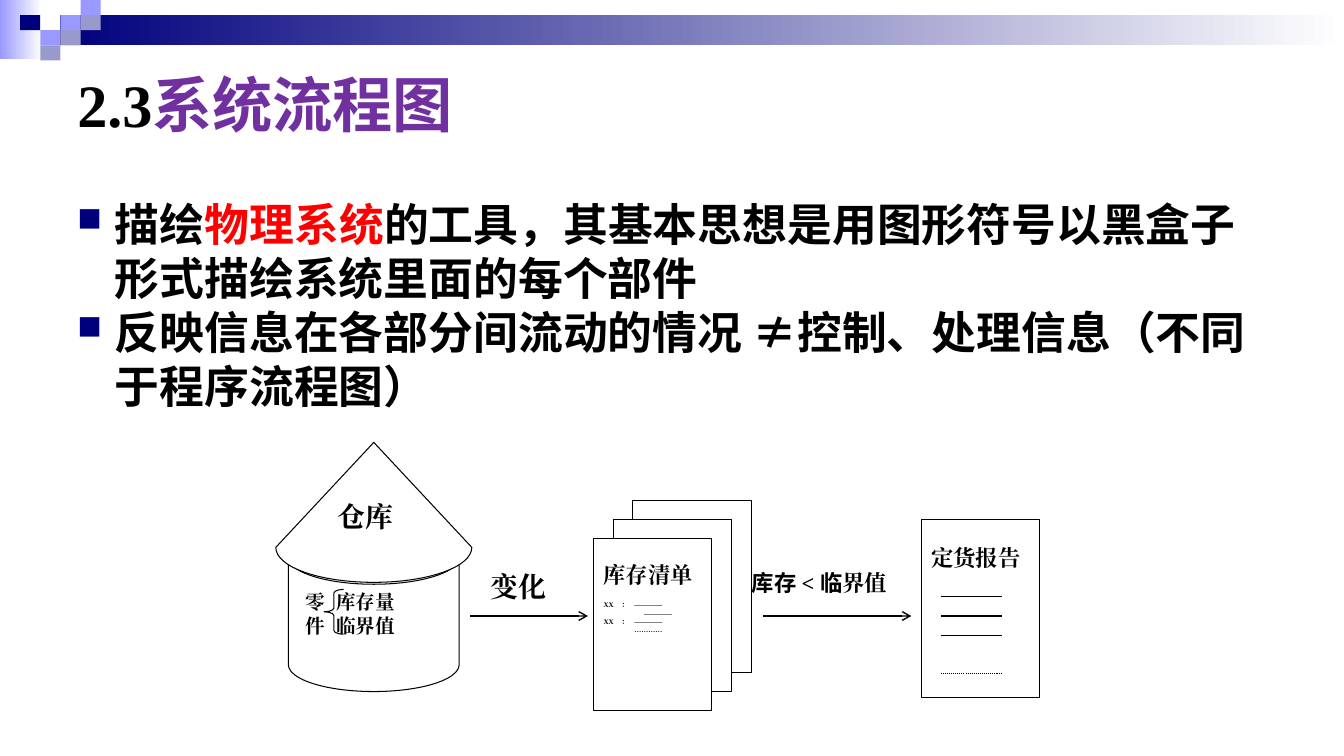
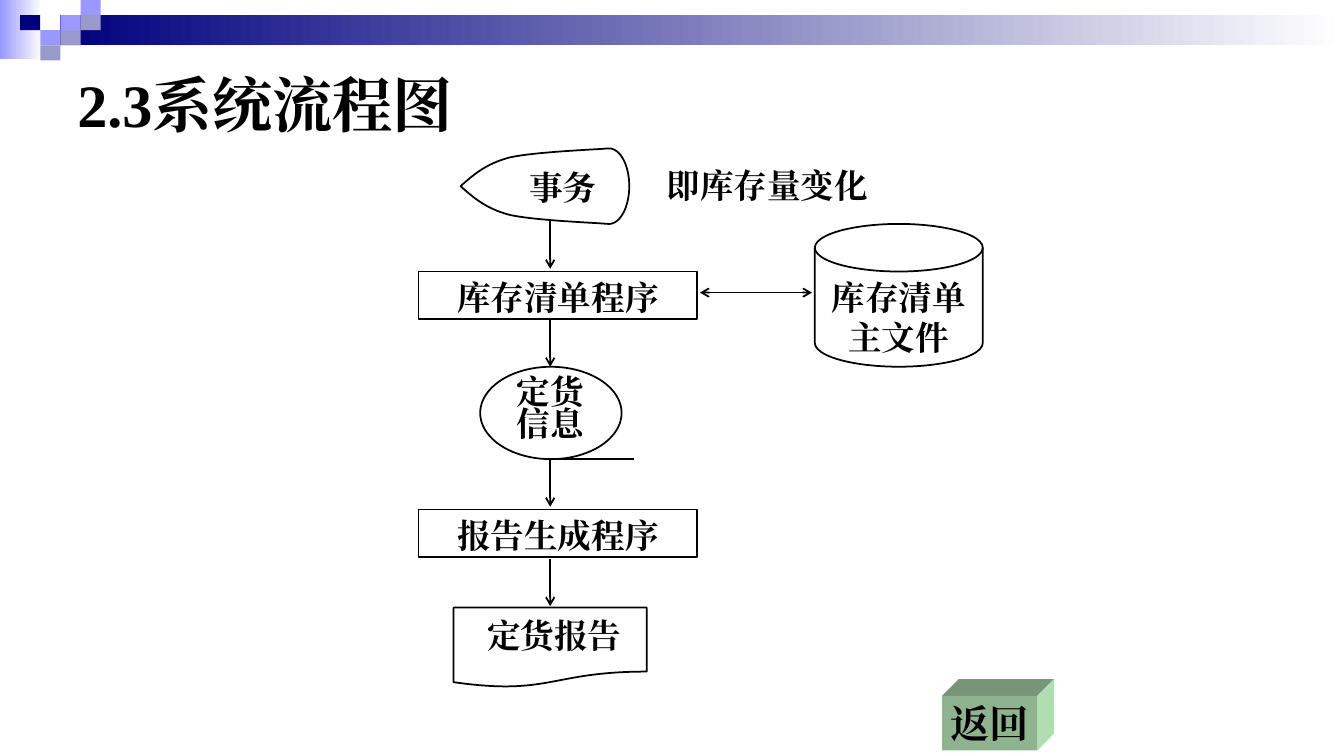
import dataclasses
import typing

import pptx
import pptx.dml.color
import pptx.enum.shapes
import pptx.enum.text
import pptx.oxml
import pptx.oxml.ns
import pptx.util
import lxml.etree

Pt = pptx.util.Pt
RGBColor = pptx.dml.color.RGBColor
SHAPE = pptx.enum.shapes.MSO_SHAPE
ALIGN = pptx.enum.text.PP_ALIGN
ANCHOR = pptx.enum.text.MSO_ANCHOR

BLACK = RGBColor(0x00, 0x00, 0x00)
WHITE = RGBColor(0xFF, 0xFF, 0xFF)
NAVY = RGBColor(0x00, 0x00, 0x7D)
PERIWINKLE = RGBColor(0x99, 0x99, 0xFF)
LAVENDER = RGBColor(0x99, 0x99, 0xCC)
PURPLE = RGBColor(0x70, 0x30, 0xA0)
RED = RGBColor(0xFF, 0x00, 0x00)
CUBE_FRONT = RGBColor(0x8F, 0xB2, 0x8F)
CUBE_TOP = RGBColor(0x78, 0x95, 0x78)
CUBE_SIDE = RGBColor(0xB0, 0xDE, 0xB0)

SERIF = "Times New Roman"
SANS = "Noto Sans CJK SC"
SANS_TITLE = "Noto Sans CJK JP"
SLIDE_SIZE = (960, 540)
TITLE_BOX = (48, 36, 864, 76)


def add_child(parent, tag, **attributes):
    child = lxml.etree.SubElement(parent, pptx.oxml.ns.qn(tag))
    for name, value in attributes.items():
        child.set(name, str(value))
    return child


def add_run(paragraph, text, size, font=SERIF, color=BLACK):
    run = paragraph.add_run()
    run.text = text
    run.font.size = Pt(size)
    run.font.bold = True
    run.font.color.rgb = color
    run.font.name = font
    add_child(run.font._element, "a:ea", typeface=font)


def write_lines(frame, lines, size, align=ALIGN.LEFT, spacing=None,
                inset=7.2, anchor=ANCHOR.TOP):
    frame.word_wrap = True
    frame.vertical_anchor = anchor
    frame.margin_left = frame.margin_right = Pt(inset)
    frame.margin_top = frame.margin_bottom = Pt(3.6)
    for index, line in enumerate(lines):
        paragraph = frame.paragraphs[0] if index == 0 else frame.add_paragraph()
        paragraph.alignment = align
        if spacing:
            paragraph.line_spacing = spacing
        for text, *style in [(line,)] if isinstance(line, str) else line:
            add_run(paragraph, text, size, *style)


def set_tabs(paragraph, positions):
    tabs = add_child(paragraph._p.get_or_add_pPr(), "a:tabLst")
    for position in positions:
        add_child(tabs, "a:tab", pos=Pt(position), algn="l")


def set_bullet(paragraph, indent):
    properties = paragraph._p.get_or_add_pPr()
    properties.set("marL", str(Pt(indent)))
    properties.set("indent", str(-Pt(indent)))
    add_child(add_child(properties, "a:buClr"), "a:srgbClr", val=NAVY)
    add_child(properties, "a:buSzPct", val=75000)
    add_child(properties, "a:buChar", char="■")


def curve(points, steps=16):
    result = [points[0]]
    for start in range(0, len(points) - 1, 3):
        a, b, c, d = points[start:start + 4]
        for step in range(1, steps + 1):
            t = step / steps
            weights = ((1 - t) ** 3, 3 * t * (1 - t) ** 2, 3 * t * t * (1 - t), t ** 3)
            result.append(tuple(sum(w * p[axis] for w, p in zip(weights, (a, b, c, d)))
                                for axis in (0, 1)))
    return result


def paint(shape, fill, line, width):
    shape.shadow.inherit = False
    if fill is None:
        shape.fill.background()
    else:
        shape.fill.solid()
        shape.fill.fore_color.rgb = fill
    if line is None:
        shape.line.fill.background()
    else:
        shape.line.color.rgb = line
        shape.line.width = Pt(width)
    return shape


@dataclasses.dataclass
class Region:
    slide: typing.Any
    left: float = 0
    top: float = 0
    width: float = 0.75

    def place(self, box):
        x, y, w, h = box
        return Pt(self.left + x), Pt(self.top + y), Pt(w), Pt(h)

    def shape(self, kind, box, fill=WHITE, line=BLACK):
        shape = self.slide.shapes.add_shape(kind, *self.place(box))
        return paint(shape, fill, line, self.width)

    def outline(self, points, fill=WHITE, line=BLACK):
        corners = [(Pt(self.left + x), Pt(self.top + y)) for x, y in points]
        builder = self.slide.shapes.build_freeform(*corners[0])
        builder.add_line_segments(corners[1:], close=True)
        return paint(builder.convert_to_shape(), fill, line, self.width)

    def text(self, box, lines, size, **style):
        frame = self.slide.shapes.add_textbox(*self.place(box)).text_frame
        write_lines(frame, lines, size, **style)
        return frame

    def line(self, start, end, ends=(), width=None, dash=None):
        connector = self.slide.shapes.add_connector(
            pptx.enum.shapes.MSO_CONNECTOR.STRAIGHT,
            Pt(self.left + start[0]), Pt(self.top + start[1]),
            Pt(self.left + end[0]), Pt(self.top + end[1]))
        connector.line.color.rgb = BLACK
        connector.line.width = Pt(width or self.width)
        if dash:
            connector.line.dash_style = dash
        for end_tag in ends:
            add_child(connector.line._get_or_add_ln(), end_tag, type="arrow")
        add_child(connector._element.spPr, "a:effectLst")


def decorate_layout(layout, slide):
    region = Region(slide)
    parts = []
    for box, color in (((0, 0, 30, 42), PERIWINKLE), ((43, 10.8, 917, 21.6), NAVY)):
        band = region.shape(SHAPE.RECTANGLE, box, line=None)
        band.fill.gradient()
        band.fill.gradient_angle = 0
        for stop, stop_color in zip(band.fill.gradient_stops, (color, WHITE)):
            stop.color.rgb = stop_color
        for stop, position in zip(band.fill.gradient_stops, (0, 1)):
            stop.position = position
        parts.append(band)
    side = 14.4
    for column, row, color in ((2, 1, PERIWINKLE), (3, 0, PERIWINKLE), (3, 1, LAVENDER),
                               (1, 2, PERIWINKLE), (0, 1, NAVY), (2, 2, LAVENDER),
                               (1, 3, LAVENDER)):
        box = (14 + column * side + 0.4, row * 10.8, side, 10.8)
        parts.append(region.shape(SHAPE.RECTANGLE, box, color, None))
    for part in parts:
        layout.shapes.element.append(part.element)


def add_title(slide, runs):
    title = slide.shapes.title
    title.left, title.top, title.width, title.height = map(Pt, TITLE_BOX)
    write_lines(title.text_frame, [runs], 43, anchor=ANCHOR.MIDDLE)


def add_points(slide, box):
    frame = Region(slide).text(box, [
        [("描绘", SANS), ("物理系统", SANS, RED),
         ("的工具，其基本思想是用图形符号以黑盒子形式描绘系统里面的每个部件", SANS)],
        [("反映信息在各部分间流动的情况 ≠控制、处理信息（不同于程序流程图）", SANS)],
    ], 32, spacing=Pt(38.6))
    for paragraph in frame.paragraphs:
        set_bullet(paragraph, 27)


def add_warehouse(slide, left, top):
    region = Region(slide, left, top)
    region.shape(SHAPE.FLOWCHART_MAGNETIC_DISK, (9, 63, 122, 115))
    eaves = curve([(140, 75), (140, 89), (109, 100), (70, 100),
                   (31, 100), (0, 89), (0, 75)])
    region.outline(eaves + [(70, 0)])
    region.text((37, 37, 65, 39), ["仓库"], 20)
    region.text((14, 102, 30, 50), ["零", "件"], 14)
    region.text((36, 102, 80, 50), ["库存量", "临界值"], 14)
    region.shape(SHAPE.LEFT_BRACE, (34.5, 105, 14, 32), None).adjustments[0] = 0.19


def add_stock_list(slide, left, top):
    region = Region(slide, left, top)
    for step in (2, 1, 0):
        region.shape(SHAPE.RECTANGLE, (step * 14, 27 - step * 13.5, 84.5, 123))
    region.text((0, 40, 84, 30), ["库存清单"], 16)
    entry = ("XX\t：\t————", (13, 22))
    rows = (entry, ("\t————", (29,)), entry, ("\t…………", (22,)))
    frame = region.text((0, 68, 84, 40), [text for text, _ in rows], 5)
    for paragraph, (_, tabs) in zip(frame.paragraphs, rows):
        set_tabs(paragraph, tabs)


def add_order_report(slide, left, top):
    region = Region(slide, left, top)
    region.shape(SHAPE.RECTANGLE, (0, 0, 84.5, 127))
    region.text((0, 14, 84, 41), ["定货报告"], 16)
    for y in (55, 69, 83):
        region.line((14, y), (58, y))
    region.line((14, 110), (58, 110), dash=pptx.enum.dml.MSO_LINE.ROUND_DOT)


def add_stock_flow(slide, left, top):
    add_warehouse(slide, left, top)
    add_stock_list(slide, left + 227, top + 41.5)
    add_order_report(slide, left + 461, top + 55)
    region = Region(slide, left, top, 1)
    region.text((146, 92, 70, 27), ["变化"], 20, spacing=0.8)
    region.text((333, 87, 132, 41),
                [[("库存 ", SANS), ("< ",), ("临", SANS), ("界值",)]], 16)
    for start, end in ((139, 223), (348, 454)):
        region.line((start, 124), (end, 124), ["a:tailEnd"])


def add_system_flowchart(slide, left, top):
    region = Region(slide, left, top, 1.25)
    center = 94
    upper = curve([(0, 27), (9, 19), (18, 11), (35, 6.5), (53, 2.5), (94, 1),
                   (106, 0), (114, 0), (120.5, 12), (120.5, 27)])
    display = upper + [(x, 54 - y) for x, y in reversed(upper[1:-1])]
    region.outline([(30 + x, y) for x, y in display])
    region.shape(SHAPE.FLOWCHART_MAGNETIC_DISK, (283, 54, 120, 102))
    region.shape(SHAPE.OVAL, (44, 156, 101, 66))
    region.shape(SHAPE.FLOWCHART_DOCUMENT, (25, 328, 138, 57))
    for y, label in ((88, "库存清单程序"), (258, "报告生成程序")):
        box = region.shape(SHAPE.RECTANGLE, (0, y, 199, 34))
        write_lines(box.text_frame, [label], 24, ALIGN.CENTER)
    for box, lines, inset, spacing in (
            ((53, 10, 100, 34), ["事务"], 7.2, None),
            ((283, 88, 120, 57), ["库存清单主文件"], 3, None),
            ((44, 161, 100, 57), ["定货", "信息"], 7.2, 0.8),
            ((37, 330, 120, 34), ["定货报告"], 1.5, None)):
        region.text(box, lines, 24, align=ALIGN.CENTER, inset=inset, spacing=spacing)
    region.text((170, 8, 199, 34), ["即库存量变化"], 24)
    for y in (52, 122, 222, 293):
        region.line((center, y), (center, y + 34), ["a:tailEnd"])
    region.line((201, 103), (281, 103), ["a:headEnd", "a:tailEnd"])
    region.line((center, 222), (154, 222))


def add_return_button(slide, box):
    left, top, width, height = box
    depth = 12
    region = Region(slide, left, top)
    region.outline([(0, 0), (depth, -depth), (width + depth, -depth), (width, 0)],
                   CUBE_TOP, None)
    region.outline([(width, 0), (width + depth, -depth),
                    (width + depth, height - depth), (width, height)], CUBE_SIDE, None)
    front = region.shape(SHAPE.RECTANGLE, (0, 0, width, height), CUBE_FRONT, None)
    write_lines(front.text_frame, ["返回"], 28, ALIGN.CENTER, inset=0,
                anchor=ANCHOR.MIDDLE)


def main():
    presentation = pptx.Presentation()
    presentation.slide_width, presentation.slide_height = map(Pt, SLIDE_SIZE)
    layout = presentation.slide_layouts[5]

    slide = presentation.slides.add_slide(layout)
    decorate_layout(layout, slide)
    add_title(slide, [("2.3",), ("系统流程图", SANS_TITLE, PURPLE)])
    add_points(slide, (48, 137, 864, 160))
    add_stock_flow(slide, 197, 316)

    slide = presentation.slides.add_slide(layout)
    add_title(slide, [("2.3系统流程图",)])
    add_system_flowchart(slide, 299, 106)
    add_return_button(slide, (673, 497, 68, 39))

    presentation.save("out.pptx")


if __name__ == "__main__":
    main()
